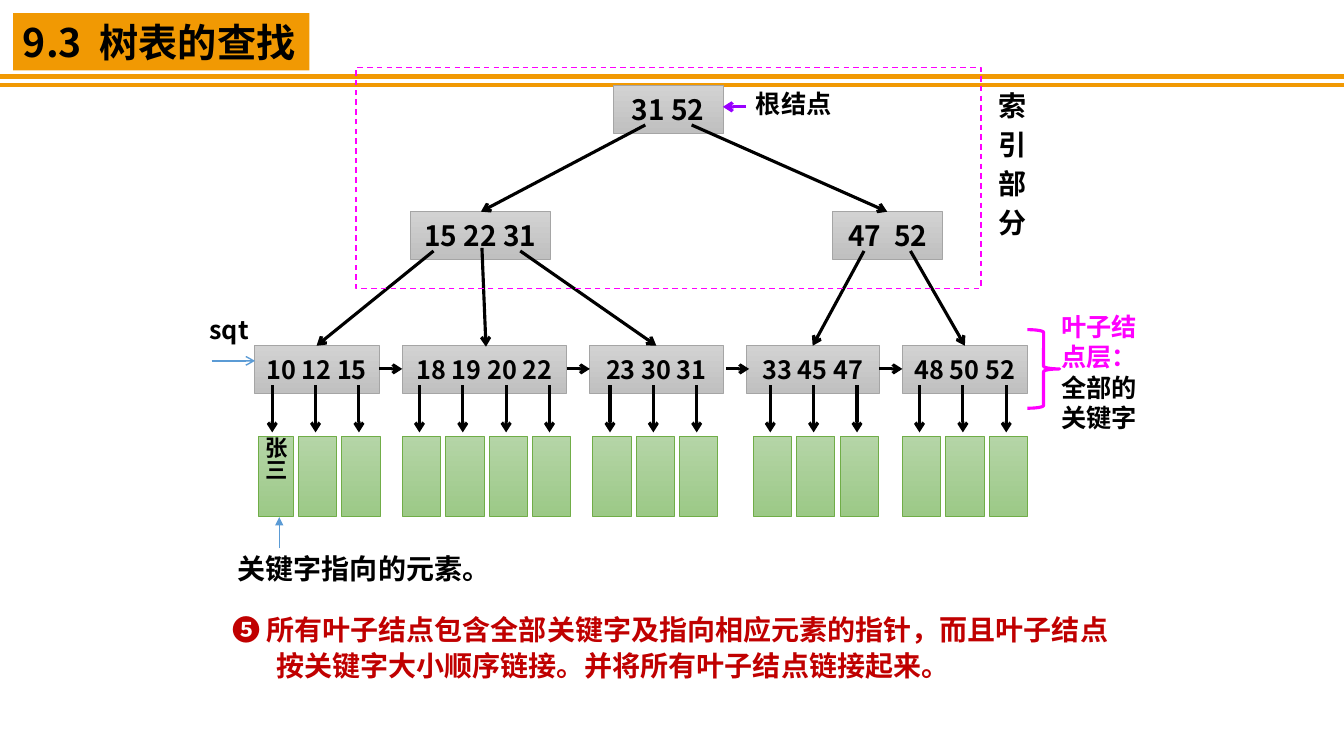
import pptx
import pptx.dml.color
import pptx.enum.dml
import pptx.enum.shapes
import pptx.enum.text
import pptx.oxml.ns
import pptx.util
from lxml import etree

PX = 9144  # one px is a hundredth of an inch
FONT = "Noto Sans CJK SC"
COLORS = {name: pptx.dml.color.RGBColor.from_string(code) for name, code in {
    "orange": "F19903", "black": "000000", "white": "FFFFFF", "red": "C00000",
    "magenta": "FF00FF", "purple": "9900FF", "blue": "5B9BD5",
    "gray_top": "D2D2D2", "gray_bottom": "C0C0C0", "gray_edge": "A5A5A5",
    "green_top": "B5D5A7", "green_bottom": "9CC987", "green_edge": "70AD47",
}.items()}
SHAPES = pptx.enum.shapes.MSO_SHAPE
ANCHOR = pptx.enum.text.MSO_ANCHOR
ALIGN = pptx.enum.text.PP_ALIGN


def write(box, text, size, color="black", align=ALIGN.LEFT):
    """Fill the box with bold text, one paragraph per line."""
    frame = box.text_frame
    frame.text = text
    frame.word_wrap = True
    for para in frame.paragraphs:
        para.alignment = align
        for span in para.runs:
            span.font.size = pptx.util.Pt(size)
            span.font.bold = True
            span.font.color.rgb = COLORS[color]
            span.font.name = FONT
            east_asian = etree.SubElement(span._r.get_or_add_rPr(), pptx.oxml.ns.qn("a:ea"))
            east_asian.set("typeface", FONT)
    return frame


def draw_line(x1, y1, x2, y2, color="black", width=2.25, head="arrow"):
    line = page.shapes.add_connector(
        pptx.enum.shapes.MSO_CONNECTOR.STRAIGHT, x1 * PX, y1 * PX, x2 * PX, y2 * PX)
    line.line.color.rgb = COLORS[color]
    line.line.width = pptx.util.Pt(width)
    if head:
        tail = etree.SubElement(line.line._get_or_add_ln(), pptx.oxml.ns.qn("a:tailEnd"))
        tail.set("type", head)
    etree.SubElement(line._element.spPr, pptx.oxml.ns.qn("a:effectLst"))


deck = pptx.Presentation()
deck.slide_width = 1333 * PX
deck.slide_height = 750 * PX
page = deck.slides.add_slide(deck.slide_layouts[6])

# Header and conclusion
title = page.shapes.add_shape(SHAPES.RECTANGLE, 13 * PX, 13 * PX, 294 * PX, 57 * PX)
note = page.shapes.add_shape(SHAPES.RECTANGLE, 214 * PX, 593 * PX, 922 * PX, 97 * PX)
for panel, fill in ((title, "orange"), (note, "white")):
    panel.shadow.inherit = False
    panel.fill.solid()
    panel.fill.fore_color.rgb = COLORS[fill]
    panel.line.fill.background()
    panel.text_frame.vertical_anchor = ANCHOR.TOP
write(title, "9.3  树表的查找", 28).word_wrap = False
for y in (76, 84):
    draw_line(0, y, 1333, y, "orange", 3, None)

note_frame = write(note, " ❺ 所有叶子结点包含全部关键字及指向相应元素的指针，而且叶子结点"
                   "按关键字大小顺序链接。并将所有叶子结点链接起来。", 20, "red")
note_frame.margin_top = note_frame.margin_bottom = 12 * PX
note_para = note_frame.paragraphs[0]
note_para.line_spacing = pptx.util.Pt(26)
note_para._p.get_or_add_pPr().set("marL", str(50 * PX))
note_para._p.get_or_add_pPr().set("indent", str(-50 * PX))

# Tree nodes, and the records below each leaf
boxes = [  # left, top, width, height, colour, text, size
    (608, 85, 109, 47, "gray", "31 52", 20),
    (407, 210, 139, 47, "gray", "15 22 31", 20),
    (826, 210, 109, 47, "gray", "47  52", 20),
]
leaves = [  # left, width, keys, x of first pointer
    (252, 124, "10 12 15", 270),
    (399, 163, "18 19 20 22", 416),
    (585, 132, "23 30 31", 605),
    (740, 132, "33 45 47", 764),
    (895, 124, "48 50 52", 912),
]
pointers = []
for left, width, keys, first in leaves:
    boxes.append((left, 343, width, 47, "gray", keys, 18))
    pointers += [first + 43 * i for i in range(len(keys.split()))]
boxes.append((256, 433, 35, 79, "green", "张三", 16))
boxes += [(x - 17, 433, 38, 79, "green", "", 16) for x in pointers[1:]]

for left, top, width, height, color, text, size in boxes:
    box = page.shapes.add_shape(SHAPES.RECTANGLE, left * PX, top * PX, width * PX, height * PX)
    box.shadow.inherit = False
    box.fill.gradient()
    box.fill.gradient_angle = 270
    for stop, end in zip(box.fill.gradient_stops, ("top", "bottom")):
        stop.color.rgb = COLORS[f"{color}_{end}"]
    box.line.color.rgb = COLORS[f"{color}_edge"]
    box.line.width = pptx.util.Pt(0.5)
    if color == "gray":
        frame = write(box, text, size, align=ALIGN.CENTER)
        frame.margin_left = frame.margin_right = 0
        frame.vertical_anchor = ANCHOR.MIDDLE
    elif text:
        frame = write(box, text, size)
        frame.margin_left = frame.margin_right = 4 * PX
        frame.margin_top = frame.margin_bottom = 0
        frame.vertical_anchor = ANCHOR.TOP
        frame._txBody.bodyPr.set("vert", "eaVert")

# Links between leaves, from parents to children, and from keys to records
for x in (376, 562, 720, 872):
    draw_line(x, 366, x + 23, 366)
for branch in ((640, 124, 477, 210), (686, 124, 880, 210),
               (430, 249, 314, 343), (478, 246, 482, 344), (516, 249, 651, 343),
               (857, 249, 806, 343), (903, 249, 957, 343)):
    draw_line(*branch)
for x in pointers:
    draw_line(x, 382, x, 429)
draw_line(277, 544, 277, 513, "blue", 1, "triangle")
draw_line(740, 106, 717, 106, "purple")
draw_line(210, 358, 253, 358, "blue", 1)

# Frame around the index part, and brace beside the leaf level
index_frame = page.shapes.add_shape(SHAPES.RECTANGLE, 353 * PX, 67 * PX, 620 * PX, 219 * PX)
brace = page.shapes.add_shape(SHAPES.RIGHT_BRACE, 1019 * PX, 327 * PX, 32 * PX, 78 * PX)
for outline, width in ((index_frame, 1), (brace, 2.25)):
    outline.shadow.inherit = False
    outline.fill.background()
    outline.line.color.rgb = COLORS["magenta"]
    outline.line.width = pptx.util.Pt(width)
index_frame.line.dash_style = pptx.enum.dml.MSO_LINE.DASH

# Labels
labels = {}
for left, top, width, height, text, size in (
        (226, 542, 289, 44, "关键字指向的元素。", 20),
        (981, 91, 40, 161, "索\n引\n部\n分", 20),
        (740, 83, 116, 40, "根结点", 18),
        (198, 307, 63, 40, "sqt", 18),
        (1043, 304, 107, 131, "叶子结点层：", 18)):
    labels[text] = page.shapes.add_textbox(left * PX, top * PX, width * PX, height * PX)
    write(labels[text], text, size)

for i, para in enumerate(labels["索\n引\n部\n分"].text_frame.paragraphs):
    para.line_spacing = pptx.util.Pt(18)
    if i:
        para.space_before = pptx.util.Pt(10)

leaf_para = labels["叶子结点层："].text_frame.paragraphs[0]
leaf_span = leaf_para.runs[0]
leaf_span.font.color.rgb = COLORS["magenta"]
keys_span = leaf_para.add_run()
keys_span.text = "全部的关键字"
keys_span.font.size = leaf_span.font.size
keys_span.font.bold = True
keys_span.font.color.rgb = COLORS["black"]
keys_span.font.name = FONT
keys_font = etree.SubElement(keys_span._r.get_or_add_rPr(), pptx.oxml.ns.qn("a:ea"))
keys_font.set("typeface", FONT)

deck.save("out.pptx")
